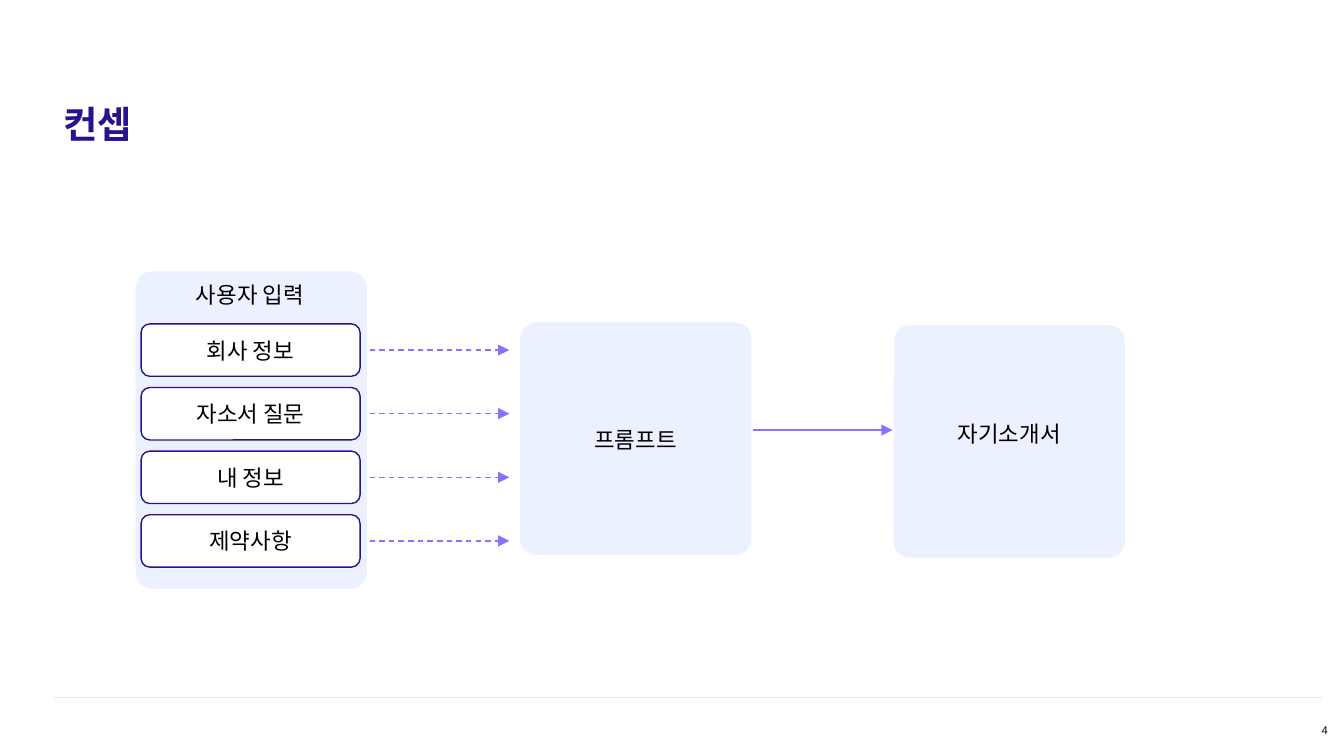
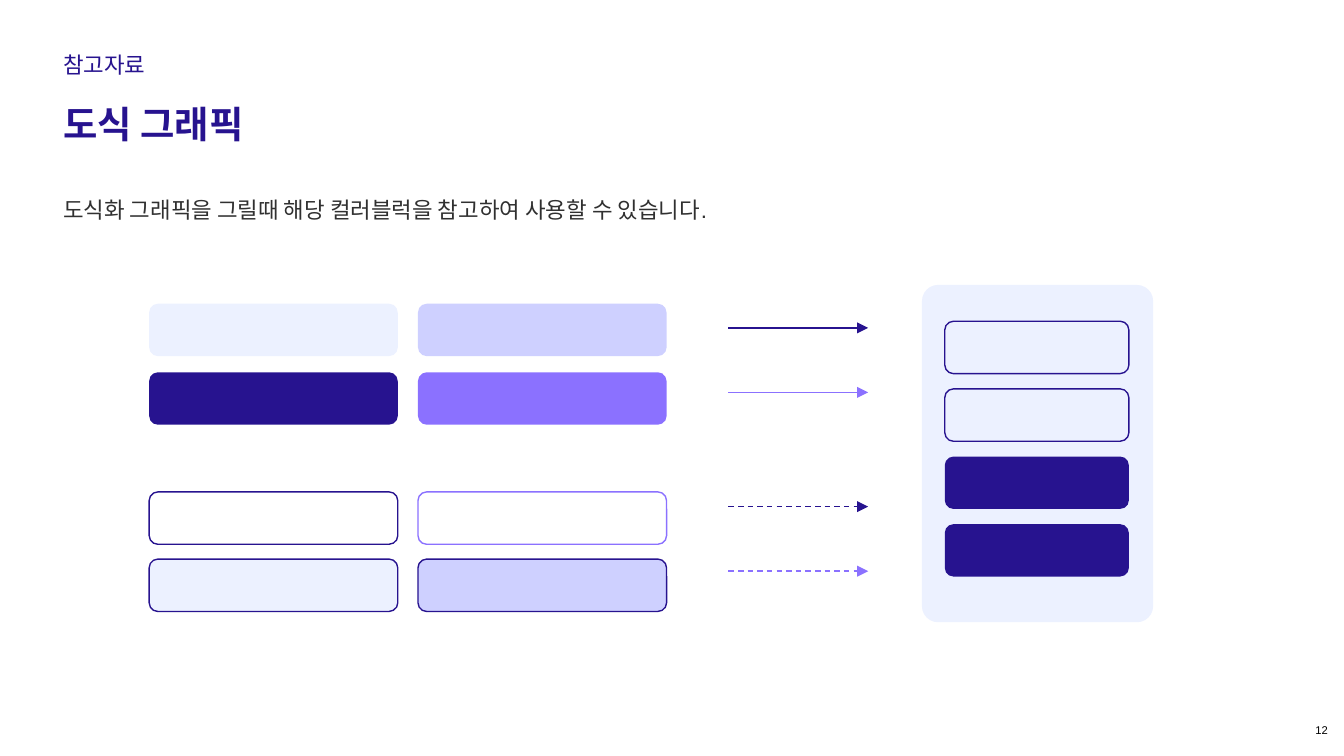
from dataclasses import dataclass

from lxml import etree
from pptx import Presentation
from pptx.dml.color import RGBColor
from pptx.enum.dml import MSO_LINE
from pptx.enum.shapes import MSO_CONNECTOR, MSO_SHAPE
from pptx.enum.text import MSO_ANCHOR, MSO_AUTO_SIZE, PP_ALIGN
from pptx.oxml.ns import qn
from pptx.util import Inches, Pt

LEFT, CENTER, RIGHT = PP_ALIGN.LEFT, PP_ALIGN.CENTER, PP_ALIGN.RIGHT
TOP, MIDDLE = MSO_ANCHOR.TOP, MSO_ANCHOR.MIDDLE
STRAIGHT = MSO_CONNECTOR.STRAIGHT
ROUNDED = MSO_SHAPE.ROUNDED_RECTANGLE
DASH = MSO_LINE.DASH


@dataclass(frozen=True)
class Theme:
    font: str = "Arial"
    navy: str = "27138F"
    violet: str = "8B71FF"
    lavender: str = "CED0FF"
    pale: str = "ECF1FF"
    white: str = "FFFFFF"
    black: str = "000000"
    body: str = "303030"
    rule: str = "E5E5EA"
    title_size: float = 20
    text_size: float = 12
    number_size: float = 6
    stroke: float = 0.75


THEME = Theme()

# Content
CONCEPT = {
    "title": "컨셉",
    "number": "4",
    "input_label": "사용자 입력",
    "inputs": ["회사 정보", "자소서 질문", "내 정보", "제약사항"],
    # label, panel left, panel top, label top
    "stages": [("프롬프트", 3.87, 2.40, 3.12), ("자기소개서", 6.65, 2.42, 3.08)],
}
GRAPHICS = {
    "title": "도식 그래픽",
    "number": "12",
    "section": "참고자료",
    "description": "도식화 그래픽을 그릴때 해당 컬러블럭을 참고하여 사용할 수 있습니다.",
    # row top, then (fill, outline) from left to right
    "swatches": [
        (2.26, [(THEME.pale, None), (THEME.lavender, None)]),
        (2.77, [(THEME.navy, None), (THEME.violet, None)]),
        (3.66, [(THEME.white, THEME.navy), (THEME.white, THEME.violet)]),
        (4.16, [(THEME.pale, THEME.navy), (THEME.lavender, THEME.navy)]),
    ],
    # height on the slide, colour, dashed
    "arrows": [
        (2.44, THEME.navy, False),
        (2.92, THEME.violet, False),
        (3.77, THEME.navy, True),
        (4.25, THEME.violet, True),
    ],
    "stack": [(THEME.pale, THEME.navy)] * 2 + [(THEME.navy, None)] * 2,
}

# Shared measures in inches
PAGE_WIDTH = 10
PAGE_HEIGHT = PAGE_WIDTH * 9 / 16
MARGIN = 0.42
BLOCK_HEIGHT = 0.39
PANEL_WIDTH = 1.72
STAGE_HEIGHT = 1.73
LABEL_WIDTH, LABEL_HEIGHT = 1.34, 0.3
ARROW_LENGTH = 1.04
# Corner radius as a share of the shorter side
BLOCK_CORNER, PANEL_CORNER = 1 / 6, 0.07


def rgb(color):
    return RGBColor.from_string(color)


def spread(first, last, count):
    """Return count evenly spaced positions from first to last."""
    return [first + (last - first) * i / (count - 1) for i in range(count)]


def write(box, text, color=THEME.black, size=THEME.text_size, bold=False,
          align=CENTER, anchor=TOP, spacing=1.0, insets=(0.1, 0.05)):
    frame = box.text_frame
    frame.word_wrap = True
    frame.auto_size = MSO_AUTO_SIZE.NONE
    frame.vertical_anchor = anchor
    frame.margin_left = frame.margin_right = Inches(insets[0])
    frame.margin_top = frame.margin_bottom = Inches(insets[1])
    para = frame.paragraphs[0]
    para.alignment = align
    para.line_spacing = spacing
    span = para.add_run()
    span.text = text
    span.font.name = THEME.font
    span.font.size = Pt(size)
    span.font.bold = bold
    span.font.color.rgb = rgb(color)


def add_text(page, text, left, top, width, height, **style):
    box = page.shapes.add_textbox(*map(Inches, (left, top, width, height)))
    write(box, text, **style)


def add_rounded(page, left, top, width, height, fill, outline=None,
                corner=BLOCK_CORNER):
    shape = page.shapes.add_shape(
        ROUNDED, *map(Inches, (left, top, width, height)))
    shape.adjustments[0] = corner
    shape.shadow.inherit = False
    shape.fill.solid()
    shape.fill.fore_color.rgb = rgb(fill)
    if outline:
        shape.line.color.rgb = rgb(outline)
        shape.line.width = Pt(THEME.stroke)
    else:
        shape.line.fill.background()
    return shape


def add_panel(page, left, top, height):
    add_rounded(page, left, top, PANEL_WIDTH, height, THEME.pale,
                corner=PANEL_CORNER)


def add_label(page, text, left, top):
    add_text(page, text, left, top, LABEL_WIDTH, LABEL_HEIGHT)


def add_line(page, left, y, length, color):
    line = page.shapes.add_connector(
        STRAIGHT, *map(Inches, (left, y, left + length, y)))
    line.line.color.rgb = rgb(color)
    line.line.width = Pt(THEME.stroke)
    etree.SubElement(line._element.spPr, qn("a:effectLst"))
    return line


def add_arrow(page, left, y, color, dashed=False):
    arrow = add_line(page, left, y, ARROW_LENGTH, color)
    if dashed:
        arrow.line.dash_style = DASH
    outline = arrow._element.spPr.find(qn("a:ln"))
    etree.SubElement(outline, qn("a:tailEnd"), type="triangle")


def add_page(deck, content, title_height):
    """Add a slide with the shared title and page number."""
    page = deck.slides.add_slide(deck.slide_layouts[5])
    title = page.shapes.title
    title.left, title.top, title.width, title.height = map(
        Inches, (MARGIN, 0.65, 8.84, title_height))
    write(title, content["title"], THEME.navy, THEME.title_size, bold=True,
          align=LEFT, spacing=1.15, insets=(0.05, 0.05))
    add_text(page, content["number"], 9.3, 5.36, 0.6, 0.15,
             size=THEME.number_size, align=RIGHT, insets=(0.02, 0.02))
    return page


def build_concept(deck):
    page = add_page(deck, CONCEPT, 0.49)
    add_line(page, 0.4, 5.19, 9.44, THEME.rule)

    add_panel(page, 1.01, 2.02, 2.36)
    add_label(page, CONCEPT["input_label"], 1.19, 2.04)
    inputs = CONCEPT["inputs"]
    for name, top in zip(inputs, spread(2.41, 3.83, len(inputs))):
        block = add_rounded(page, 1.05, top, 1.63, BLOCK_HEIGHT,
                            THEME.white, THEME.navy)
        write(block, name, anchor=MIDDLE, insets=(0.1, 0.1))
        add_arrow(page, 2.75, top + BLOCK_HEIGHT / 2, THEME.violet, True)

    for name, left, top, label_top in CONCEPT["stages"]:
        add_panel(page, left, top, STAGE_HEIGHT)
        add_label(page, name, left + (PANEL_WIDTH - LABEL_WIDTH) / 2, label_top)
    add_arrow(page, 5.6, 3.2, THEME.violet)


def build_graphics(deck):
    page = add_page(deck, GRAPHICS, 0.44)
    add_text(page, GRAPHICS["section"], MARGIN, 0.3, 4.52, 0.3,
             color=THEME.navy, align=LEFT, spacing=1.15, insets=(0.05, 0.05))
    add_text(page, GRAPHICS["description"], MARGIN, 1.31, 9.14, 0.3,
             color=THEME.body, align=LEFT, spacing=1.5, insets=(0.05, 0.05))

    for top, row in GRAPHICS["swatches"]:
        for column, (fill, outline) in enumerate(row):
            add_rounded(page, 1.11 + column * 2, top, 1.85, BLOCK_HEIGHT,
                        fill, outline)

    for y, color, dashed in GRAPHICS["arrows"]:
        add_arrow(page, 5.42, y, color, dashed)

    add_panel(page, 6.86, 2.12, 2.51)
    stack = GRAPHICS["stack"]
    for (fill, outline), top in zip(stack, spread(2.39, 3.9, len(stack))):
        add_rounded(page, 7.03, top, 1.37, BLOCK_HEIGHT, fill, outline)


def main():
    deck = Presentation()
    deck.slide_width = Inches(PAGE_WIDTH)
    deck.slide_height = Inches(PAGE_HEIGHT)
    build_concept(deck)
    build_graphics(deck)
    deck.save("out.pptx")


if __name__ == "__main__":
    main()
